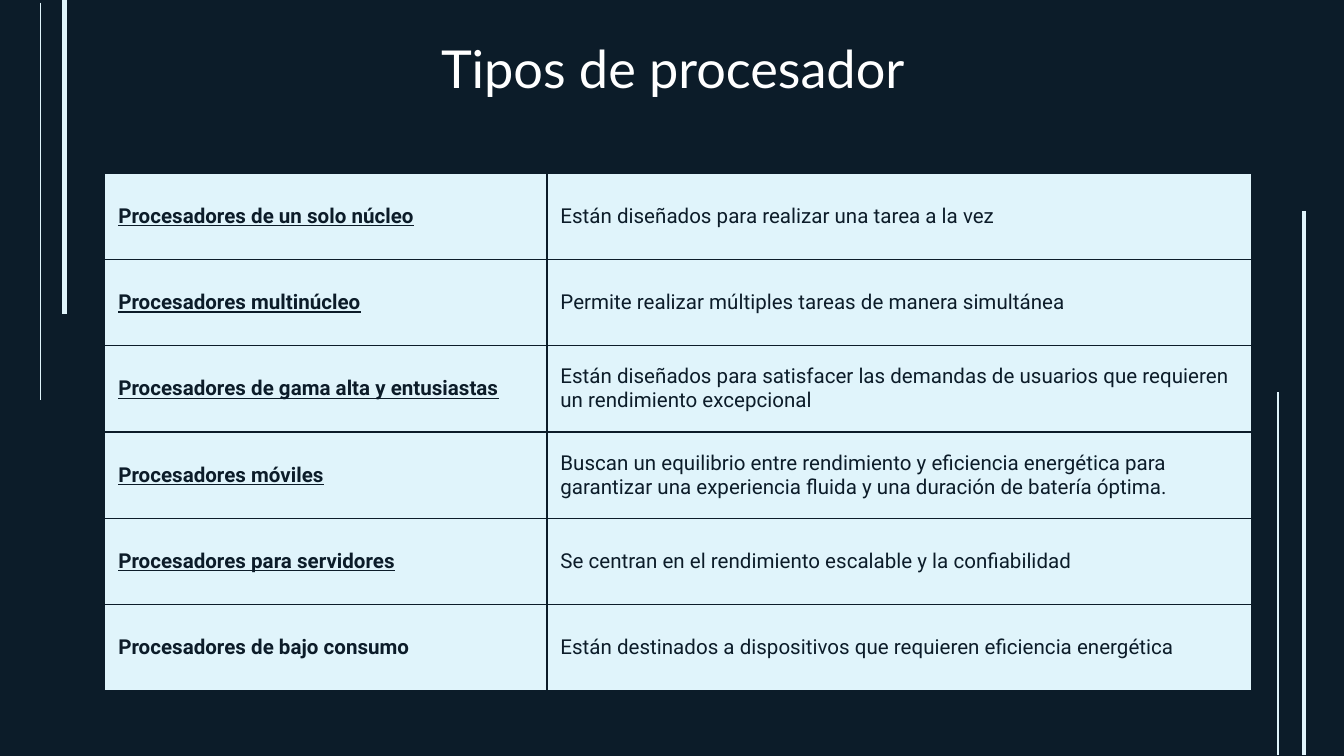
from lxml.etree import SubElement
from pptx import Presentation
from pptx.dml.color import RGBColor
from pptx.enum.shapes import MSO_CONNECTOR
from pptx.enum.text import MSO_ANCHOR, PP_ALIGN
from pptx.oxml.ns import qn
from pptx.util import Inches, Pt

NAVY = "0C1C29"
ICE = "E0F4FB"
WHITE = "FFFFFF"

PROCESSORS = [
    ("Procesadores de un solo núcleo",
     "Están diseñados para realizar una tarea a la vez"),
    ("Procesadores multinúcleo",
     "Permite realizar múltiples tareas de manera simultánea"),
    ("Procesadores de gama alta y entusiastas",
     "Están diseñados para satisfacer las demandas de usuarios que requieren "
     "un rendimiento excepcional"),
    ("Procesadores móviles",
     "Buscan un equilibrio entre rendimiento y eficiencia energética para "
     "garantizar una experiencia fluida y una duración de batería óptima."),
    ("Procesadores para servidores",
     "Se centran en el rendimiento escalable y la confiabilidad"),
    ("Procesadores de bajo consumo",
     "Están destinados a dispositivos que requieren eficiencia energética"),
]


def color(value):
    return RGBColor.from_string(value)


def style_font(para, name, size, tone, bold=False, underline=False):
    font = para.font
    font.name = name
    font.size = Pt(size)
    font.bold = bold
    font.underline = underline
    font.color.rgb = color(tone)


def add_side_lines(page, left, top, lines):
    for offset, start, end, weight in lines:
        x = Inches(left + offset)
        line = page.shapes.add_connector(
            MSO_CONNECTOR.STRAIGHT, x, Inches(top + start), x, Inches(top + end))
        line.line.color.rgb = color(ICE)
        line.line.width = Pt(weight)
        SubElement(line._element.spPr, qn("a:effectLst"))


def add_title(page, left, top, width, height, text):
    box = page.shapes.add_textbox(
        Inches(left), Inches(top), Inches(width), Inches(height))
    frame = box.text_frame
    frame.word_wrap = True
    frame.vertical_anchor = MSO_ANCHOR.TOP
    frame.margin_left = frame.margin_right = Inches(0.1)
    frame.margin_top = frame.margin_bottom = Inches(0.1)
    para = frame.paragraphs[0]
    para.text = text
    para.alignment = PP_ALIGN.CENTER
    style_font(para, "Lato", 28, WHITE)


def add_borders(cell):
    properties = cell._tc.get_or_add_tcPr()
    for side in ("a:lnL", "a:lnR", "a:lnT", "a:lnB"):
        border = SubElement(properties, qn(side), w=str(Pt(0.75)))
        fill = SubElement(border, qn("a:solidFill"))
        SubElement(fill, qn("a:srgbClr"), val=NAVY)


def fill_cell(cell, text, bold, underline):
    add_borders(cell)
    cell.fill.solid()
    cell.fill.fore_color.rgb = color(ICE)
    cell.vertical_anchor = MSO_ANCHOR.MIDDLE
    cell.margin_left = cell.margin_right = Inches(0.1)
    cell.margin_top = cell.margin_bottom = 0
    para = cell.text_frame.paragraphs[0]
    para.text = text
    style_font(para, "Roboto", 11, NAVY, bold, underline)


def add_processor_table(page, left, top, width, height, name_width):
    frame = page.shapes.add_table(
        len(PROCESSORS), 2,
        Inches(left), Inches(top), Inches(width), Inches(height))
    table = frame.table
    table.first_row = False
    table.horz_banding = False
    table.columns[0].width = Inches(name_width)
    table.columns[1].width = Inches(width - name_width)
    last = len(PROCESSORS) - 1
    for index, (name, description) in enumerate(PROCESSORS):
        fill_cell(table.cell(index, 0), name, True, index < last)
        fill_cell(table.cell(index, 1), description, False, False)


def main():
    deck = Presentation()
    deck.slide_width = Inches(10)
    deck.slide_height = Inches(5.625)
    page = deck.slides.add_slide(deck.slide_layouts[6])
    page.background.fill.solid()
    page.background.fill.fore_color.rgb = color(NAVY)

    add_side_lines(page, 0.3, 0, [(0.18, 0, 2.34, 2.25), (0, 0.02, 2.98, 0.75)])
    add_side_lines(page, 9.51, 1.57, [(0.19, 0, 4.05, 2.25), (0, 1.35, 4.05, 0.75)])
    add_title(page, 0.79, 0.17, 8.43, 0.63, "Tipos de procesador")
    add_processor_table(page, 0.78, 1.29, 8.53, 3.85, 3.29)
    deck.save("out.pptx")


if __name__ == "__main__":
    main()
